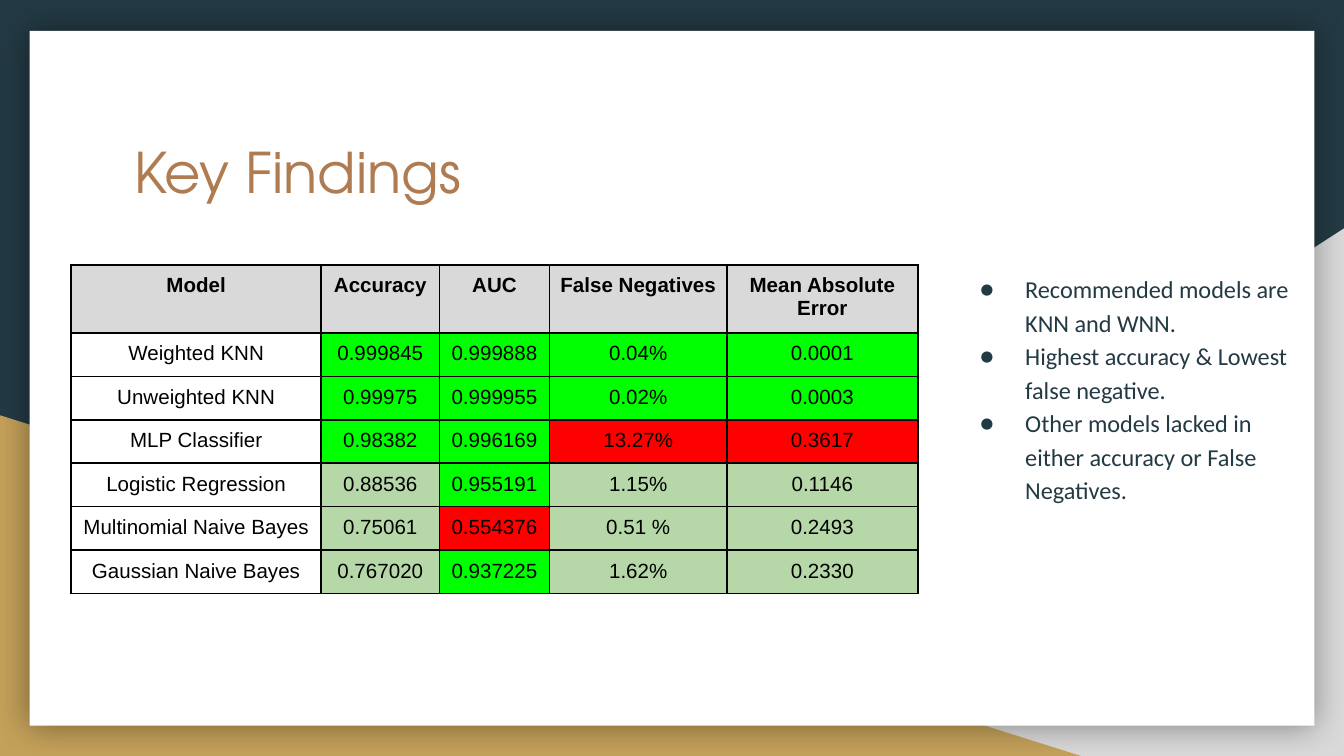
from lxml import etree
from pptx import Presentation
from pptx.dml.color import RGBColor
from pptx.enum.shapes import MSO_SHAPE as Shape
from pptx.enum.text import PP_ALIGN as Align
from pptx.oxml import parse_xml
from pptx.oxml.ns import nsdecls, qn
from pptx.util import Inches, Pt

COLORS = {
    "navy": "233A44", "gold": "C4A15A", "gray": "D9D9D9", "white": "FFFFFF",
    "copper": "AF7B51", "black": "000000",
    "good": "00FF00", "fair": "B6D7A8", "poor": "FF0000",
}
HEADERS = ["Model", "Accuracy", "AUC", "False Negatives", "Mean Absolute Error"]
# Each model has its four scores and the rating of each score.
RESULTS = [
    ("Weighted KNN", ["0.999845", "0.999888", "0.04%", "0.0001"],
     ["good", "good", "good", "good"]),
    ("Unweighted KNN", ["0.99975", "0.999955", "0.02%", "0.0003"],
     ["good", "good", "good", "good"]),
    ("MLP Classifier", ["0.98382", "0.996169", "13.27%", "0.3617"],
     ["good", "good", "poor", "poor"]),
    ("Logistic Regression", ["0.88536", "0.955191", "1.15%", "0.1146"],
     ["fair", "good", "fair", "fair"]),
    ("Multinomial Naive Bayes", ["0.75061", "0.554376", "0.51 %", "0.2493"],
     ["fair", "poor", "fair", "fair"]),
    ("Gaussian Naive Bayes", ["0.767020", "0.937225", "1.62%", "0.2330"],
     ["fair", "good", "fair", "fair"]),
]
COLUMN_WIDTHS = [1.86, 0.88, 0.82, 1.32, 1.42]
MIN_ROW_HEIGHT = 0.01  # rows grow to fit their text
FINDINGS = [
    "Recommended models are KNN and WNN.",
    "Highest accuracy & Lowest false negative.",
    "Other models lacked in either accuracy or False Negatives.",
]


def color(name):
    return RGBColor.from_string(COLORS[name])


def set_font(para, name, size, color_name, bold=False):
    """Style the paragraph; its spans repeat the size, which bullets follow."""
    para.font.name = name
    para.font.bold = bold
    para.font.color.rgb = color(color_name)
    for item in (para, *para.runs):
        item.font.size = Pt(size)


def set_insets(item, inset):
    item.margin_left = item.margin_right = Inches(inset)
    item.margin_top = item.margin_bottom = Inches(inset)


class SlideBuilder:
    """Holds the fonts and the slide that the elements are added to."""

    title_font, body_font, table_font = "TeX Gyre Adventor", "Calibri", "Arial"

    def __init__(self, slide):
        self.slide = slide
        slide.background.fill.solid()
        slide.background.fill.fore_color.rgb = color("navy")

    def shape(self, kind, place, fill, flipped=False):
        shape = self.slide.shapes.add_shape(kind, *map(Inches, place))
        shape.shadow.inherit = False
        shape.fill.solid()
        shape.fill.fore_color.rgb = color(fill)
        shape.line.fill.background()
        if flipped:
            shape._element.spPr.find(qn("a:xfrm")).set("flipH", "1")
        return shape

    def card(self, place):
        """Add a white panel with a soft shadow on all sides."""
        panel = self.shape(Shape.RECTANGLE, place, "white")
        effects = panel._element.spPr.find(qn("a:effectLst"))
        effects.append(parse_xml(
            f'<a:outerShdw {nsdecls("a")} blurRad="{Pt(18)}" dist="0" dir="0" '
            f'algn="ctr" rotWithShape="0"><a:srgbClr val="{COLORS["black"]}">'
            '<a:alpha val="40000"/></a:srgbClr></a:outerShdw>'))

    def text_frame(self, place):
        frame = self.slide.shapes.add_textbox(*map(Inches, place)).text_frame
        frame.word_wrap = True
        set_insets(frame, 0.1)
        return frame

    def title(self, text, place):
        para = self.text_frame(place).paragraphs[0]
        para.text = text
        set_font(para, self.title_font, 30, "copper")

    def bullets(self, items, place):
        frame = self.text_frame(place)
        frame.text = "\n".join(items)
        for para in frame.paragraphs:
            set_font(para, self.body_font, 13, "navy")
            para.line_spacing = 1.15
            properties = para._p.get_or_add_pPr()
            properties.set("marL", str(Inches(0.5)))
            properties.set("indent", str(Inches(-0.34)))
            bullet_color = etree.Element(qn("a:buClr"))
            etree.SubElement(bullet_color, qn("a:srgbClr"), val=COLORS["navy"])
            default_font = properties.find(qn("a:defRPr"))
            default_font.addprevious(bullet_color)
            default_font.addprevious(etree.Element(qn("a:buFont"), typeface=self.body_font))
            default_font.addprevious(etree.Element(qn("a:buChar"), char="●"))

    def table(self, left, top):
        row_count = len(RESULTS) + 1
        table = self.slide.shapes.add_table(
            row_count, len(COLUMN_WIDTHS), Inches(left), Inches(top),
            Inches(sum(COLUMN_WIDTHS)), Inches(MIN_ROW_HEIGHT * row_count)).table
        table.horz_banding = False
        for column, width in zip(table.columns, COLUMN_WIDTHS):
            column.width = Inches(width)
        for row in table.rows:
            row.height = Inches(MIN_ROW_HEIGHT)
        for cell, text in zip(table.rows[0].cells, HEADERS):
            self.cell(cell, text, "gray", bold=True)
        for row, (model, scores, ratings) in zip(list(table.rows)[1:], RESULTS):
            for cell, text, fill in zip(row.cells, [model] + scores, [None] + ratings):
                self.cell(cell, text, fill)

    def cell(self, cell, text, fill, bold=False):
        cell.text = text
        set_insets(cell, 0.07)
        para = cell.text_frame.paragraphs[0]
        para.alignment = Align.CENTER
        set_font(para, self.table_font, 11, "black", bold)
        for side in ("lnL", "lnR", "lnT", "lnB"):
            border = etree.SubElement(
                cell._tc.get_or_add_tcPr(), qn(f"a:{side}"), w=str(Pt(1)))
            line_fill = etree.SubElement(border, qn("a:solidFill"))
            etree.SubElement(line_fill, qn("a:srgbClr"), val=COLORS["black"])
        if fill:
            cell.fill.solid()
            cell.fill.fore_color.rgb = color(fill)
        else:
            cell.fill.background()


def main():
    deck = Presentation()
    deck.slide_width = Inches(10)
    deck.slide_height = deck.slide_width * 9 // 16
    builder = SlideBuilder(deck.slides.add_slide(deck.slide_layouts[6]))
    builder.shape(Shape.RIGHT_TRIANGLE, (3.92, 1.7, 6.08, 3.93), "gray", flipped=True)
    builder.shape(Shape.RIGHT_TRIANGLE, (0, 3.09, 8.06, 2.54), "gold")
    builder.card((0.22, 0.23, 9.56, 5.17))
    builder.title("Key Findings", (0.9, 0.92, 8.21, 1.04))
    builder.bullets(FINDINGS, (7.03, 1.91, 2.75, 2.8))
    builder.table(0.53, 1.97)
    deck.save("out.pptx")


if __name__ == "__main__":
    main()
